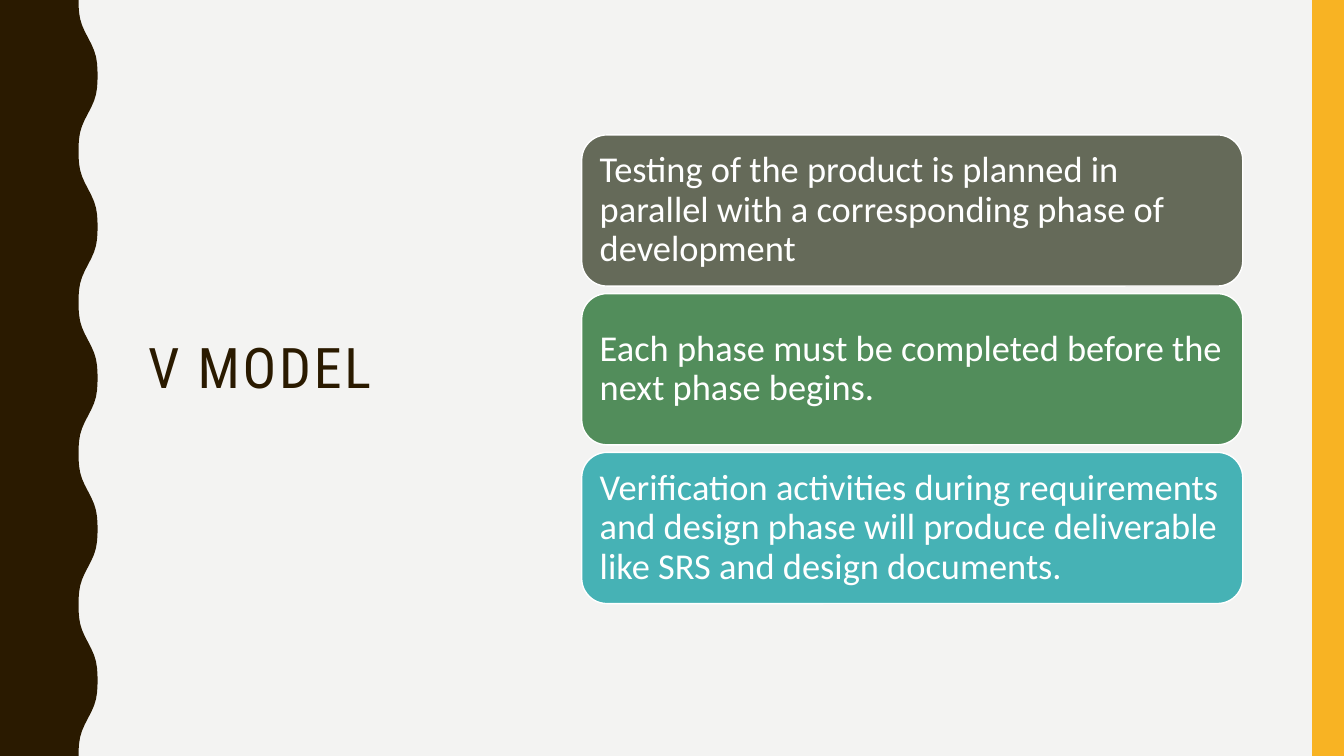
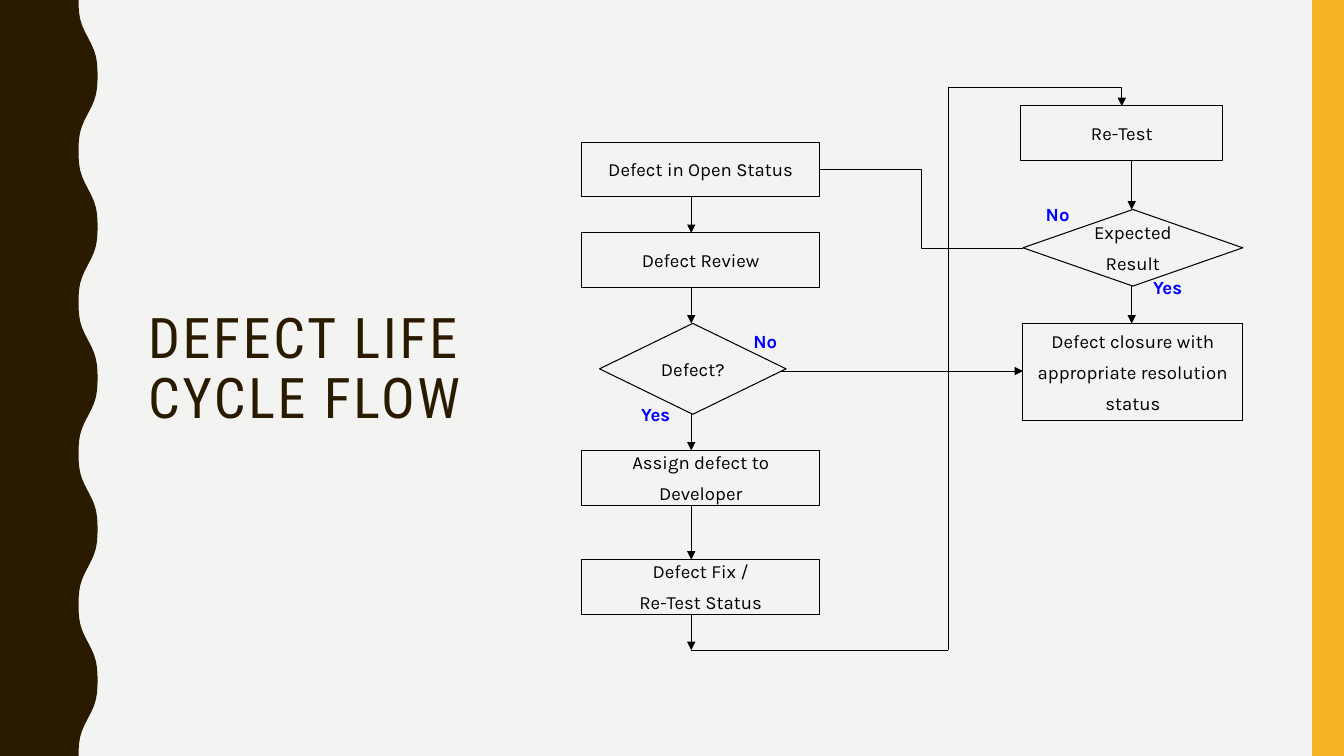
from itertools import pairwise
from math import cos, pi

from lxml.etree import SubElement
from pptx import Presentation
from pptx.dml.color import RGBColor
from pptx.enum.shapes import MSO_CONNECTOR as Link, MSO_SHAPE as Preset
from pptx.enum.text import MSO_ANCHOR as Anchor, MSO_AUTO_SIZE as AutoSize, PP_ALIGN as Align
from pptx.oxml.ns import qn
from pptx.util import Cm, Pt

COLORS = {
    "background": "F3F3F2",
    "brown": "2A1A00",
    "yellow": "F8B323",
    "olive": "656A59",
    "green": "528D5B",
    "teal": "46B2B5",
    "white": "FFFFFF",
    "black": "000000",
    "answer": "0000FF",
}
TITLE_FONT, CARD_FONT, FLOW_FONT = "Roboto Condensed", "Calibri", "Karla"
SLIDE_WIDTH, SLIDE_HEIGHT = 33.87, 19.05
CONTENT_LEFT = 14.66


def color(name):
    return RGBColor.from_string(COLORS[name])


def write(shape, text, *, font, size, ink, bold=False, align=Align.LEFT,
          line_spacing=None, space_after=None, insets=(0.25, 0.13), spacing=None):
    """Fill a shape with text, one paragraph per line."""
    frame = shape.text_frame
    frame.text = text
    frame.word_wrap = True
    frame.auto_size = AutoSize.NONE
    frame.vertical_anchor = Anchor.MIDDLE
    frame.margin_left = frame.margin_right = Cm(insets[0])
    frame.margin_top = frame.margin_bottom = Cm(insets[1])
    for paragraph in frame.paragraphs:
        paragraph.alignment = align
        paragraph.line_spacing = line_spacing
        paragraph.space_after = space_after
        for run in paragraph.runs:
            run.font.name = font
            run.font.size = Pt(size)
            run.font.bold = bold
            run.font.color.rgb = color(ink)
            if spacing:
                run._r.get_or_add_rPr().set("spc", str(spacing * 100))


def paint(shape, fill=None, line=None, line_width=0.75):
    shape.shadow.inherit = False
    if fill:
        shape.fill.solid()
        shape.fill.fore_color.rgb = color(fill)
    else:
        shape.fill.background()
    if line:
        shape.line.color.rgb = color(line)
        shape.line.width = Pt(line_width)
    else:
        shape.line.fill.background()


def add_preset(slide, preset, left, top, width, height, **look):
    shape = slide.shapes.add_shape(preset, Cm(left), Cm(top), Cm(width), Cm(height))
    paint(shape, **look)
    return shape


def add_wave_band(slide):
    """Band at the left whose edge waves five times."""
    middle, swing, period, steps = 2.22, 0.24, SLIDE_HEIGHT / 5, 120
    flatten = 0.08
    edge = []
    for step in range(steps + 1):
        y = SLIDE_HEIGHT * step / steps
        angle = 2 * pi * y / period
        wave = (cos(angle) - flatten * cos(3 * angle)) / (1 - flatten)
        edge.append((Cm(middle - swing * wave), Cm(y)))
    builder = slide.shapes.build_freeform(0, 0)
    builder.add_line_segments(edge + [(0, Cm(SLIDE_HEIGHT))])
    paint(builder.convert_to_shape(), fill="brown")


def add_slide(presentation, title_text):
    """Title slide frame shared by all slides."""
    slide = presentation.slides.add_slide(presentation.slide_layouts[5])
    add_wave_band(slide)
    add_preset(slide, Preset.RECTANGLE, 33.07, 0, 0.8, SLIDE_HEIGHT, fill="yellow")
    title = slide.shapes.title
    title.left, title.top, title.width, title.height = Cm(3.48), Cm(1.8), Cm(9.4), Cm(15.06)
    write(title, title_text, font=TITLE_FONT, size=40, ink="brown",
          line_spacing=0.9, spacing=2)
    return slide


def add_link(slide, start, end, kind=Link.STRAIGHT, arrow=True, line_width=0.75):
    link = slide.shapes.add_connector(kind, *(Cm(value) for value in (*start, *end)))
    link.line.color.rgb = color("black")
    link.line.width = Pt(line_width)
    properties = link.element.spPr
    if arrow:
        SubElement(properties.find(qn("a:ln")), qn("a:tailEnd"), type="triangle")
    SubElement(properties, qn("a:effectLst"))


def add_route(slide, points):
    """Right-angled route with an arrowhead on its last leg."""
    for start, end in pairwise(points):
        add_link(slide, start, end, arrow=end == points[-1])


def write_flow(shape, text, **changes):
    write(shape, text, **{"font": FLOW_FONT, "size": 13.3, "ink": "black",
                          "align": Align.CENTER, "space_after": Pt(6), **changes})


def add_flow_column(slide, axis, nodes):
    """Nodes from top to bottom, with an arrow along the axis between neighbours."""
    for preset, left, top, width, height, text in nodes:
        node = add_preset(slide, preset, left, top, width, height, line="black")
        write_flow(node, text, insets=(0, 0) if preset == Preset.DIAMOND else (0.25, 0.13))
    for upper, lower in pairwise(nodes):
        add_link(slide, (axis, upper[2] + upper[4]), (axis, lower[2]))


def add_answer(slide, left, top, text):
    label = slide.shapes.add_textbox(Cm(left), Cm(top), Cm(1.85), Cm(0.91))
    write_flow(label, text, ink="answer", bold=True)


def build_model_slide(presentation):
    slide = add_slide(presentation, "V MODEL")
    cards = [
        ("olive", "Testing of the product is planned in parallel with a corresponding "
                  "phase of development"),
        ("green", "Each phase must be completed before the next phase begins."),
        ("teal", "Verification activities during requirements and design phase will "
                 "produce deliverable like SRS and design documents."),
    ]
    for index, (fill, text) in enumerate(cards):
        card = add_preset(slide, Preset.ROUNDED_RECTANGLE, CONTENT_LEFT, 3.4 + 4 * index,
                          16.66, 3.81, fill=fill, line="white", line_width=1)
        write(card, text, font=CARD_FONT, size=26, ink="white", line_spacing=0.9,
              insets=(0.27, 0.27))


def build_flow_slide(presentation):
    slide = add_slide(presentation, "DEFECT LIFE CYCLE FLOW")
    box, diamond = Preset.RECTANGLE, Preset.DIAMOND
    main_axis, trunk, box_size = 17.42, 23.9, (6, 1.38)

    # Both columns
    add_flow_column(slide, main_axis, [
        (box, CONTENT_LEFT, 3.58, *box_size, "Defect in Open Status"),
        (box, CONTENT_LEFT, 5.87, *box_size, "Defect Review"),
        (diamond, 15.11, 8.15, 4.7, 2.29, "Defect?"),
        (box, CONTENT_LEFT, 11.35, *box_size, "Assign defect to\nDeveloper"),
        (box, CONTENT_LEFT, 14.1, *box_size, "Defect Fix /\nRe-Test Status"),
    ])
    add_flow_column(slide, 28.52, [
        (box, 25.73, 2.67, 5.08, 1.38, "Re-Test"),
        (diamond, 25.78, 5.28, 5.54, 1.93, "Expected\nResult"),
        (box, 25.78, 8.15, 5.54, 2.46, "Defect closure with\nappropriate resolution\nstatus"),
    ])

    # Links between the columns
    add_link(slide, (19.69, 9.35), (25.78, 9.35))
    add_link(slide, (25.78, 6.25), (20.66, 4.27), kind=Link.ELBOW, arrow=False, line_width=0.5)
    add_link(slide, (main_axis, 15.48), (main_axis, 16.38))
    add_route(slide, [(main_axis, 16.38), (trunk, 16.38), (trunk, 2.21),
                      (28.27, 2.21), (28.27, 2.67)])

    # Answers at the decisions
    for left, top, text in [(18.36, 8.15, "No"), (25.73, 4.95, "No"),
                            (15.6, 9.98, "Yes"), (28.5, 6.78, "Yes")]:
        add_answer(slide, left, top, text)


def main():
    presentation = Presentation()
    presentation.slide_width, presentation.slide_height = Cm(SLIDE_WIDTH), Cm(SLIDE_HEIGHT)
    background = presentation.slide_master.background.fill
    background.solid()
    background.fore_color.rgb = color("background")
    build_model_slide(presentation)
    build_flow_slide(presentation)
    presentation.save("out.pptx")


if __name__ == "__main__":
    main()
